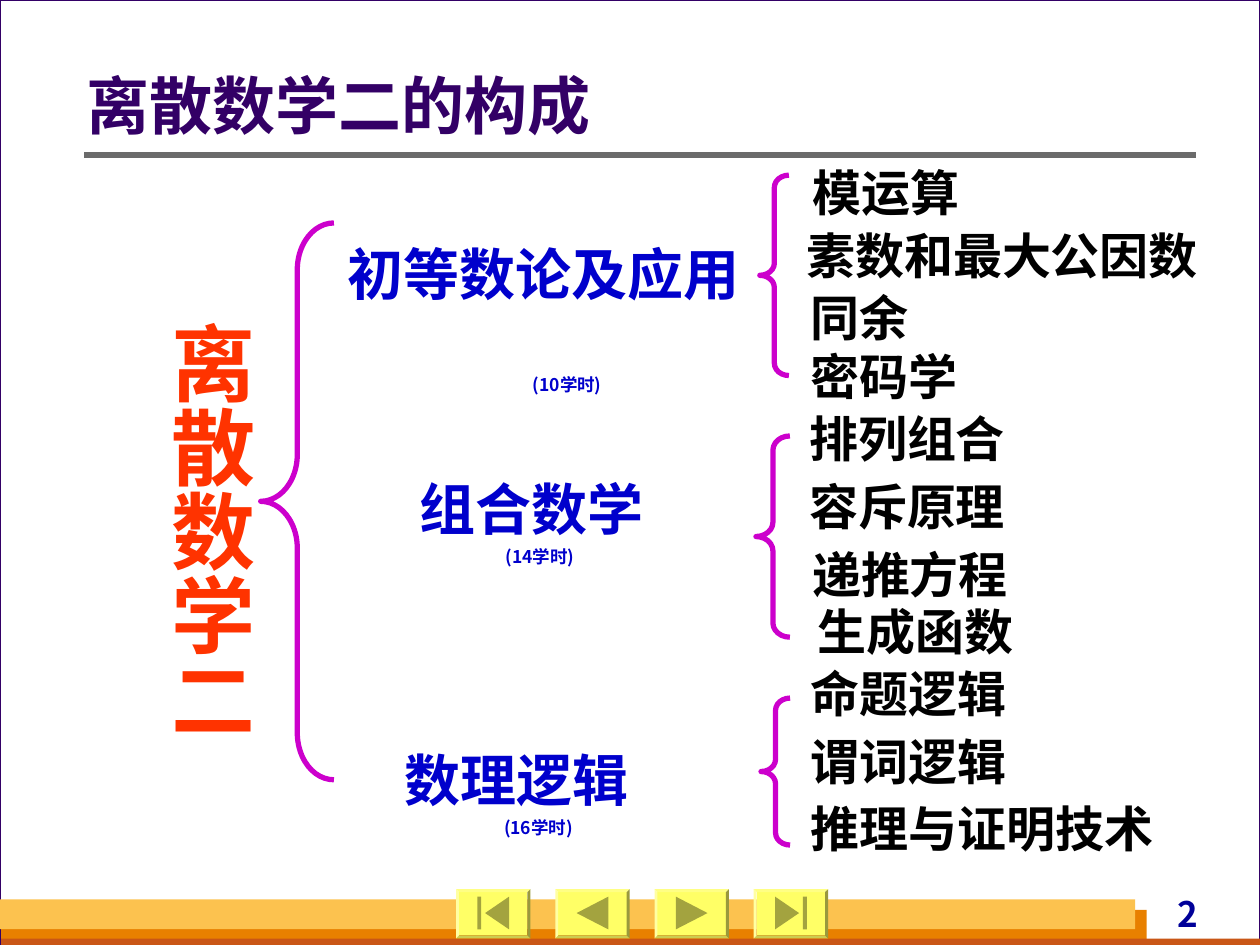
import pptx
import pptx.util
from dataclasses import dataclass
from lxml import etree
from pptx.dml.color import RGBColor
from pptx.enum.shapes import MSO_CONNECTOR, MSO_SHAPE
from pptx.enum.text import MSO_ANCHOR, PP_ALIGN
from pptx.oxml.ns import qn

Pt = pptx.util.Pt


@dataclass(frozen=True)
class Theme:
    cjk: str = "Noto Sans CJK SC"
    condensed: str = "Roboto Condensed"
    backdrop: str = "D8DADA"
    paper: str = "FFFFFF"
    title: str = "330066"
    rule: str = "6B6B6B"
    brace: str = "CC00CC"
    root: str = "FF3300"
    heading: str = "0000CC"
    item: str = "000000"
    number: str = "000099"
    amber: str = "FCC24F"
    orange: str = "E88000"
    rust: str = "C95616"
    button: str = "FFFF66"
    icon: str = "A3A33F"
    title_size: int = 36
    root_size: int = 48
    heading_size: int = 32
    hours_size: int = 10
    item_size: int = 28
    number_size: int = 20


T = Theme()


def rgb(value):
    return RGBColor.from_string(value)


def add_run(p, text, size, color, font):
    r = p.add_run()
    r.text = text
    r.font.size = Pt(size)
    r.font.bold = True
    r.font.color.rgb = rgb(color)
    r.font.name = font
    etree.SubElement(r._r.rPr, qn("a:ea")).set("typeface", font)


def set_frame(tf, left=0, top=0, right=0, bottom=0):
    tf.word_wrap = True
    tf.margin_left, tf.margin_top = Pt(left), Pt(top)
    tf.margin_right, tf.margin_bottom = Pt(right), Pt(bottom)


def add_text_box(shapes, x, y, w, h, *insets):
    tf = shapes.add_textbox(Pt(x), Pt(y), Pt(w), Pt(h)).text_frame
    set_frame(tf, *insets)
    return tf


def style_shape(sp, fill=None, line=None, width=0.75):
    sp.shadow.inherit = False
    if fill:
        sp.fill.solid()
        sp.fill.fore_color.rgb = rgb(fill)
    else:
        sp.fill.background()
    if line:
        sp.line.color.rgb = rgb(line)
        sp.line.width = Pt(width)
    else:
        sp.line.fill.background()


def add_preset(shapes, kind, x, y, w, h, *style):
    sp = shapes.add_shape(kind, Pt(x), Pt(y), Pt(w), Pt(h))
    style_shape(sp, *style)
    return sp


def add_brace(shapes, x, y, w, h, curve):
    sp = add_preset(shapes, MSO_SHAPE.LEFT_BRACE, x, y, w, h, None, T.brace, 3)
    sp.adjustments[0] = curve


def add_backdrop(s, w, h):
    s.background.fill.solid()
    s.background.fill.fore_color.rgb = rgb(T.backdrop)
    rect = MSO_SHAPE.RECTANGLE
    add_preset(s.shapes, rect, 0, 0, w, h, T.paper, T.title)
    for x, y, bw, bh, color in (
        (0.7, h - 20, 654.5, 20, T.orange),
        (0.7, h - 3.6, w - 0.7, 3.6, T.rust),
        (0, h - 26, 648.7, 17, T.amber),
    ):
        add_preset(s.shapes, rect, x, y, bw, bh, color)


def add_header(s, x, y, w, h):
    sp = s.shapes.title
    sp._element.getparent().append(sp._element)
    sp.left, sp.top, sp.width, sp.height = Pt(x), Pt(y), Pt(w), Pt(h)
    tf = sp.text_frame
    set_frame(tf, 0, 3.6, 7.2, 3.6)
    tf.vertical_anchor = MSO_ANCHOR.MIDDLE
    p = tf.paragraphs[0]
    p.alignment = PP_ALIGN.LEFT
    p.line_spacing = 0.9
    add_run(p, "离散数学二的构成", T.title_size, T.title, T.cjk)
    rule_y = Pt(y + 54.8)
    rule = s.shapes.add_connector(
        MSO_CONNECTOR.STRAIGHT, Pt(x - 1.4), rule_y, Pt(x + 633.6), rule_y)
    rule.line.color.rgb = rgb(T.rule)
    rule.line.width = Pt(3)
    etree.SubElement(rule._element.spPr, qn("a:effectLst"))


def add_page_number(s, x, y, w, h):
    p = add_text_box(s.shapes, x, y, w, h, 2.9, 0, 2.9, 0).paragraphs[0]
    p.alignment = PP_ALIGN.CENTER
    add_run(p, "2", T.number_size, T.number, T.cjk)


def add_navigation(s, x, y, w, h, pitch):
    back = [[(12.2, 13.7), (30.3, 4.3), (30.3, 23)]]
    first = [[(16.6, 13.7), (30.3, 4.3), (30.3, 23)],
             [(12.2, 4.3), (14.4, 4.3), (14.4, 23), (12.2, 23)]]
    icons = ((first, False), (back, False), (back, True), (first, True))
    for i, (contours, mirrored) in enumerate(icons):
        left = x + i * pitch
        bevel = add_preset(s.shapes, MSO_SHAPE.BEVEL, left, y, w, h, T.button)
        bevel.adjustments[0] = 0.06
        builder = None
        for contour in contours:
            pts = [(Pt(left + (w - px if mirrored else px)), Pt(y + py))
                   for px, py in contour]
            if builder is None:
                builder = s.shapes.build_freeform(*pts[0])
            else:
                builder.move_to(*pts[0])
            builder.add_line_segments(pts[1:], close=True)
        style_shape(builder.convert_to_shape(), T.icon)


def add_root(s, x, y, w, h):
    tf = add_text_box(s.shapes, x, y + 56.6, 51.8, 241.2)
    tf._txBody.bodyPr.set("vert", "eaVert")
    p = tf.paragraphs[0]
    p.alignment = PP_ALIGN.JUSTIFY
    p.line_spacing = 0.9
    add_run(p, "离散数学二", T.root_size, T.root, T.cjk)
    add_brace(s.shapes, x + w - 41.8, y, 41.8, h, 0.64)


def add_branch(s, x, y, label, lines, brace, items):
    shapes = s.shapes.add_group_shape().shapes
    lx, ly, lw, lh = label
    tf = add_text_box(shapes, x + lx, y + ly, lw, lh, 7.2, 3.6, 7.2, 3.6)
    fonts = ((T.heading_size, T.condensed), (T.hours_size, T.cjk))
    for i, ((text, align, indent, gap), (size, font)) in enumerate(zip(lines, fonts)):
        p = tf.add_paragraph() if i else tf.paragraphs[0]
        p.alignment = align
        p.space_before = Pt(gap)
        p._p.get_or_add_pPr().set("marL", str(Pt(indent)))
        add_run(p, text, size, T.heading, font)
    bx, by, bw, bh = brace
    add_brace(shapes, x + bx, y + by, bw, bh, 0.42)
    for text, ix, iy, iw in items:
        p = add_text_box(shapes, x + ix, y + iy, iw, 33.8).paragraphs[0]
        add_run(p, text, T.item_size, T.item, T.condensed)


def main():
    prs = pptx.Presentation()
    prs.slide_width, prs.slide_height = Pt(720), Pt(540)
    s = prs.slides.add_slide(prs.slide_layouts[5])
    add_backdrop(s, 720, 540)
    add_page_number(s, 643.7, 509.8, 70.6, 23.8)
    add_navigation(s, 260.6, 508.1, 42.5, 28.1, 56.7)
    add_header(s, 49.7, 33.8, 595.4, 56.9)
    add_root(s, 90.7, 127.4, 100.1, 318.2)
    left, center = PP_ALIGN.LEFT, PP_ALIGN.CENTER
    add_branch(
        s, 223.9, 379.4, (0, 43, 190.8, 60.5),
        (("数理逻辑", left, 0, 0), ("(16学时)", left, 57, 2.5)),
        (211, 19.5, 16.6, 84),
        (("命题逻辑", 239.5, 0, 205), ("谓词逻辑", 239.5, 38.4, 181),
         ("推理与证明技术", 239.5, 76.8, 227)))
    add_branch(
        s, 189.4, 92.9, (-0.5, 40.3, 243.4, 134.6),
        (("初等数论及应用", center, 0, 0), ("(10学时)", center, 27, 38.5)),
        (244.8, 7.2, 16.6, 114.5),
        (("模运算", 275, 0, 198), ("素数和最大公因数", 271.4, 36, 237.6),
         ("同余", 273.6, 71.3, 162), ("密码学", 273.6, 105.1, 131)))
    add_branch(
        s, 189.4, 233.3, (-0.3, 34.2, 239, 98.6),
        (("组合数学", left, 43.3, 0), ("(14学时)", center, 0, 2.5)),
        (242.6, 15.8, 19.4, 115),
        (("排列组合", 273, 0, 198), ("容斥原理", 273, 38.9, 162),
         ("递推方程", 274.7, 77.8, 167.8), ("生成函数", 277.9, 110.6, 167.8)))
    prs.save("out.pptx")


if __name__ == "__main__":
    main()
